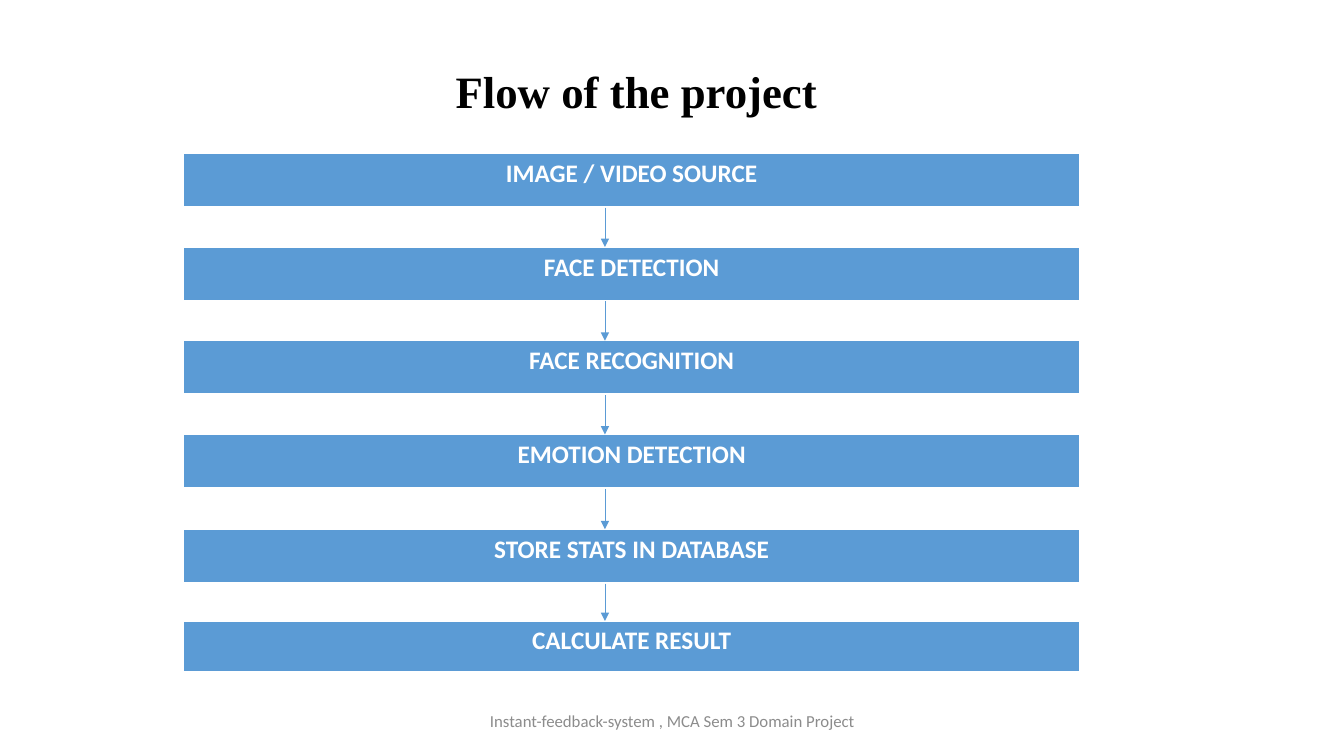
from lxml import etree
from pptx import Presentation
from pptx import util as u
from pptx.dml import color
from pptx.enum import shapes, text
from pptx.oxml import ns

BLUE, WHITE, BLACK, GREY = "5B9BD5", "FFFFFF", "000000", "8C8C8C"
TITLE = {"name": "Times New Roman", "size": u.Pt(32), "bold": True}
STEP = {"name": "Calibri", "size": u.Pt(18), "bold": True}
FOOTER = {"name": "Calibri", "size": u.Pt(12), "bold": False}


def paint(target, hex_code):
    target.rgb = color.RGBColor.from_string(hex_code)


def write(frame, words, font_format, hex_code, alignment):
    frame.word_wrap = True
    paragraph = frame.paragraphs[0]
    paragraph.alignment = alignment
    run = paragraph.add_run()
    run.text = words
    for name, value in font_format.items():
        setattr(run.font, name, value)
    paint(run.font.color, hex_code)


presentation = Presentation()
presentation.slide_width = u.Inches(13.33)
presentation.slide_height = u.Inches(7.5)
slide = presentation.slides.add_slide(presentation.slide_layouts[6])

footer = slide.shapes.add_textbox(u.Inches(4.42), u.Inches(6.95), u.Inches(4.5), u.Inches(0.4))
footer.text_frame.vertical_anchor = text.MSO_ANCHOR.MIDDLE
write(footer.text_frame, "Instant-feedback-system , MCA Sem 3 Domain Project",
      FOOTER, GREY, text.PP_ALIGN.CENTER)

title = slide.shapes.add_textbox(u.Inches(4.42), u.Inches(0.58), u.Inches(3.92), u.Inches(0.94))
write(title.text_frame, "Flow of the project", TITLE, BLACK, text.PP_ALIGN.LEFT)

steps = [
    ("IMAGE / VIDEO SOURCE", 1.52, 0.54),
    ("FACE DETECTION", 2.45, 0.54),
    ("FACE RECOGNITION", 3.38, 0.54),
    ("EMOTION DETECTION", 4.31, 0.54),
    ("STORE STATS IN DATABASE", 5.25, 0.54),
    ("CALCULATE RESULT", 6.16, 0.52),
]
border_widths = {"a:lnL": 1, "a:lnR": 1, "a:lnT": 1, "a:lnB": 3}

for label, top, height in steps:
    frame = slide.shapes.add_table(1, 1, u.Inches(1.82), u.Inches(top), u.Inches(8.89), u.Inches(height))
    cell = frame.table.cell(0, 0)
    properties = cell._tc.get_or_add_tcPr()
    for tag, width in border_widths.items():
        border = etree.SubElement(properties, ns.qn(tag), w=str(u.Pt(width)))
        fill = etree.SubElement(border, ns.qn("a:solidFill"))
        etree.SubElement(fill, ns.qn("a:srgbClr"), val=WHITE)
    cell.fill.solid()
    paint(cell.fill.fore_color, BLUE)
    write(cell.text_frame, label, STEP, WHITE, text.PP_ALIGN.CENTER)

for (_, top, height), (_, next_top, _) in zip(steps, steps[1:]):
    arrow = slide.shapes.add_connector(shapes.MSO_CONNECTOR.STRAIGHT, u.Inches(6),
                                       u.Inches(top + height), u.Inches(6), u.Inches(next_top))
    arrow.line.width = u.Pt(0.5)
    paint(arrow.line.color, BLUE)
    etree.SubElement(arrow.line._get_or_add_ln(), ns.qn("a:tailEnd"), type="triangle")
    etree.SubElement(arrow._element.spPr, ns.qn("a:effectLst"))

presentation.save("out.pptx")
